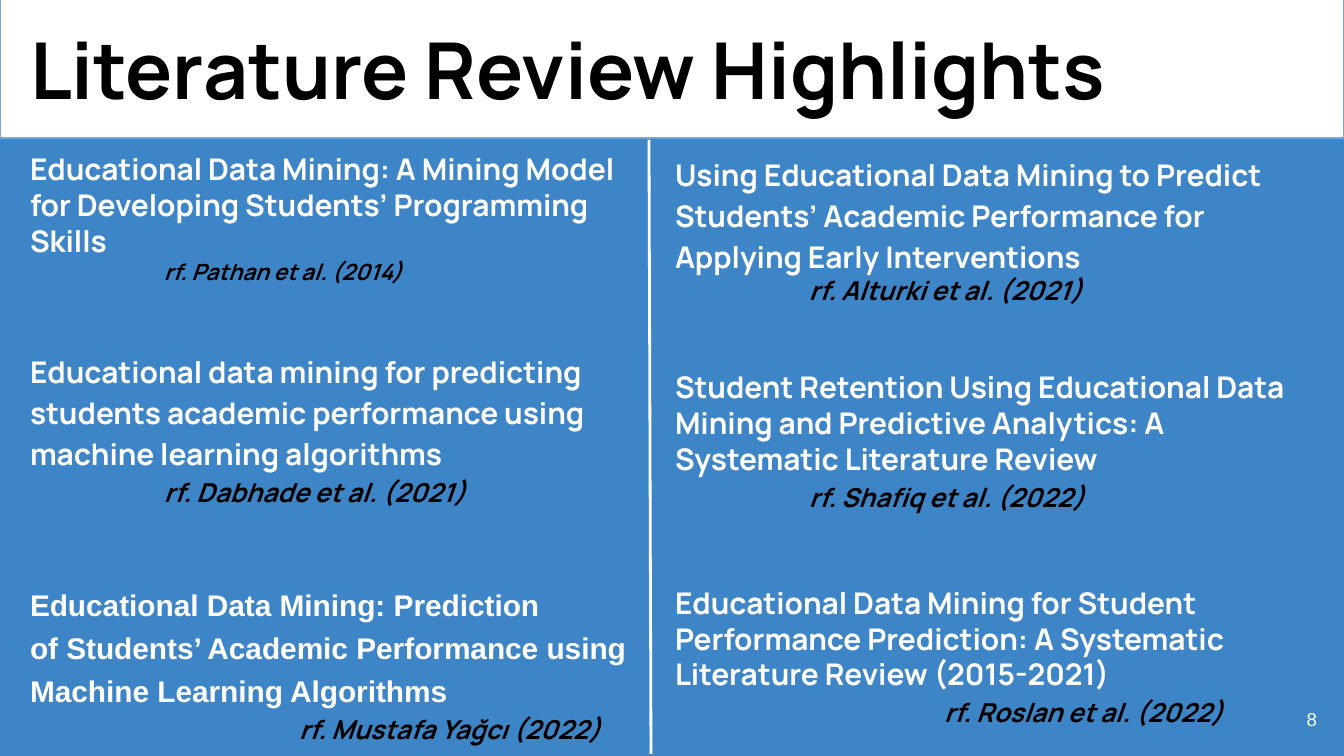
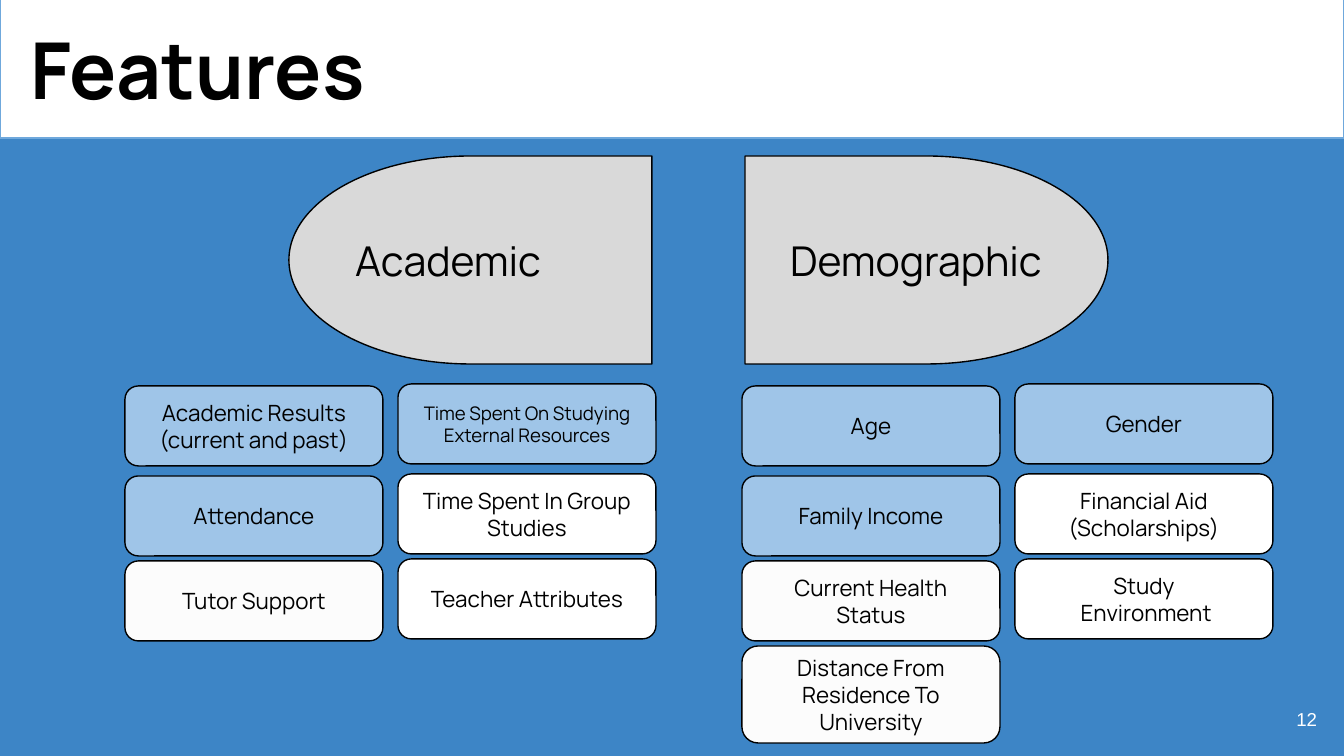
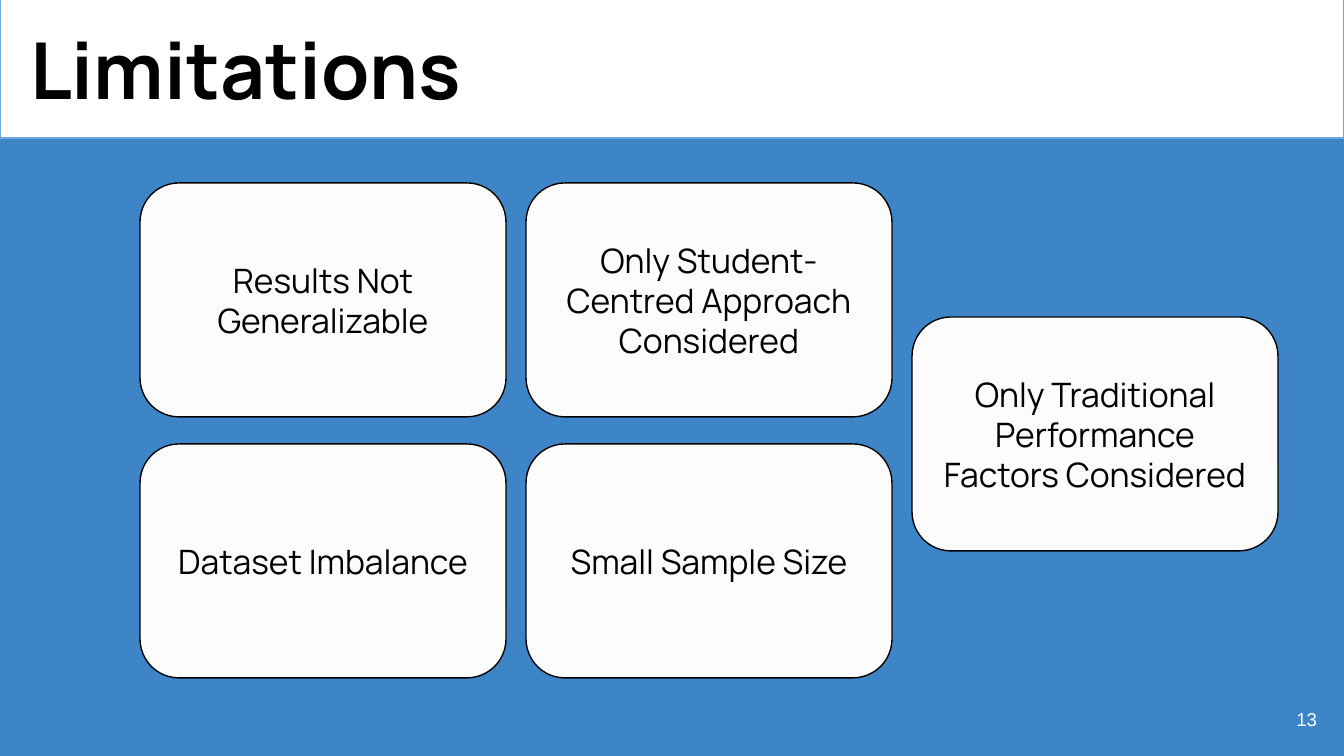
from collections import namedtuple

from lxml.etree import SubElement
from pptx import Presentation
from pptx.dml.color import RGBColor
from pptx.enum.shapes import MSO_CONNECTOR, MSO_SHAPE
from pptx.enum.text import MSO_ANCHOR, PP_ALIGN
from pptx.oxml.ns import qn
from pptx.util import Emu, Pt

EMU_PER_PX = 914400 / 134.4
PAGE_WIDTH, PAGE_HEIGHT = 1344, 756
INSET = 13
COLOURS = {
    "page": "3D85C6",
    "white": "FFFFFF",
    "black": "000000",
    "band_line": "6FA8DC",
    "chosen": "9FC5E8",
    "plain": "FCFCFC",
    "heading": "D9D9D9",
}
BODY_FONT = "Manrope"
NUMBER_FONT = "Arial"

Box = namedtuple("Box", "left top width height")
Paper = namedtuple(
    "Paper", "lines spacing reference size reference_spacing indent gap font",
    defaults=(134, 0, BODY_FONT))

LEFT_PAPERS = [
    Paper(["Educational Data Mining: A Mining Model for Developing Students’ Programming Skills"],
          1.0, "rf. Pathan et al. (2014)", 12, 1.0),
    Paper(["Educational data mining for predicting students academic performance "
           "using machine learning algorithms"],
          1.15, "rf. Dabhade et al. (2021)", 14, 1.15, gap=63),
    Paper(["Educational Data Mining: Prediction",
           "of Students’ Academic Performance using Machine Learning Algorithms"],
          1.2, "rf. Mustafa Yağcı (2022)", 14, 1.15, indent=269, gap=72, font="Arial"),
]
RIGHT_PAPERS = [
    Paper(["Using Educational Data Mining to Predict Students’ Academic Performance "
           "for Applying Early Interventions"],
          1.15, "rf. Alturki et al. (2021)", 14, 1.0),
    Paper(["Student Retention Using Educational Data Mining and Predictive Analytics: "
           "A Systematic Literature Review"],
          1.0, "rf. Shafiq et al. (2022)", 14, 1.15, gap=63),
    Paper(["Educational Data Mining for Student Performance Prediction: "
           "A Systematic Literature Review (2015-2021)"],
          1.0, "rf. Roslan et al. (2022)", 14, 1.15, indent=269, gap=72),
]

FEATURE_ROWS = [0, 90, 175, 260]
ACADEMIC_FEATURES = [
    [("Academic Results (current and past)", "chosen"),
     ("Attendance", "chosen"),
     ("Tutor Support", "plain")],
    [("Time Spent On Studying External Resources", "chosen"),
     ("Time Spent In Group Studies", "white"),
     ("Teacher Attributes", "white")],
]
DEMOGRAPHIC_FEATURES = [
    [("Age", "chosen"),
     ("Family Income", "chosen"),
     ("Current Health Status", "plain"),
     ("Distance From Residence To University", "plain")],
    [("Gender", "chosen"),
     ("Financial Aid (Scholarships)", "white"),
     ("Study\n Environment", "white")],
]
SMALL_FEATURE = "Time Spent On Studying External Resources"
TALL_FEATURE = "Distance From Residence To University"

LIMITATIONS = [
    ("Results Not Generalizable", 0, 0),
    ("Dataset Imbalance", 0, 261),
    ("Only Student-Centred Approach Considered", 1, 0),
    ("Small Sample Size", 1, 261),
    ("Only Traditional Performance Factors Considered", 2, 134),
]


def px(length):
    return Emu(round(length * EMU_PER_PX))


def place(box):
    return [px(length) for length in box]


def colour(name):
    return RGBColor.from_string(COLOURS[name])


def add_span(para, text, size, colour_name="black", font=BODY_FONT, bold=False, italic=False):
    span = para.add_run()
    span.text = text
    span.font.size = Pt(size)
    span.font.name = font
    span.font.bold = bold
    span.font.italic = italic
    span.font.color.rgb = colour(colour_name)


def prepare_frame(frame, anchor):
    frame.word_wrap = True
    frame.vertical_anchor = anchor
    frame.margin_left = frame.margin_right = px(INSET)
    frame.margin_top = frame.margin_bottom = px(INSET)
    return frame


def add_text_box(page, box, anchor=MSO_ANCHOR.MIDDLE):
    text_box = page.shapes.add_textbox(*place(box))
    return prepare_frame(text_box.text_frame, anchor)


def add_panel(page, kind, box, fill, line="black"):
    panel = page.shapes.add_shape(kind, *place(box))
    panel.shadow.inherit = False
    panel.fill.solid()
    panel.fill.fore_color.rgb = colour(fill)
    panel.line.color.rgb = colour(line)
    panel.line.width = Pt(0.75)
    return panel


def add_card(page, kind, box, text, fill, size, align=PP_ALIGN.CENTER):
    card = add_panel(page, kind, box, fill)
    frame = prepare_frame(card.text_frame, MSO_ANCHOR.MIDDLE)
    for index, line in enumerate(text.split("\n")):
        para = frame.add_paragraph() if index else frame.paragraphs[0]
        para.alignment = align
        add_span(para, line, size)
    return card


def add_page(deck, title, number):
    page = deck.slides.add_slide(deck.slide_layouts[6])
    page.background.fill.solid()
    page.background.fill.fore_color.rgb = colour("page")
    add_panel(page, MSO_SHAPE.RECTANGLE, Box(0, -1, PAGE_WIDTH, 139), "white", "band_line")
    heading = add_text_box(page, Box(17, 7, 1312, 122)).paragraphs[0]
    add_span(heading, title, 42, bold=True)
    footer = add_text_box(page, Box(1249, 690, 81, 58)).paragraphs[0]
    footer.alignment = PP_ALIGN.RIGHT
    add_span(footer, str(number), 10, "white", NUMBER_FONT)
    return page


def add_papers(page, box, papers):
    frame = add_text_box(page, box, MSO_ANCHOR.TOP)
    para = frame.paragraphs[0]
    for paper in papers:
        for index, line in enumerate(paper.lines):
            if para is None:
                para = frame.add_paragraph()
            para.line_spacing = paper.spacing
            para.space_before = px(0 if index else paper.gap)
            add_span(para, line, 16, "white", paper.font, bold=True)
            para = None
        reference = frame.add_paragraph()
        reference.line_spacing = paper.reference_spacing
        reference._p.get_or_add_pPr().set("marL", str(px(paper.indent)))
        add_span(reference, paper.reference, paper.size, bold=True, italic=True)


def add_divider(page, start, end):
    divider = page.shapes.add_connector(MSO_CONNECTOR.STRAIGHT, *place(start + end))
    divider.line.color.rgb = colour("white")
    divider.line.width = Pt(1.5)
    SubElement(divider._element.spPr, qn("a:effectLst"))


def add_features(page, left, top, columns):
    for column, features in enumerate(columns):
        for row, (text, fill) in zip(FEATURE_ROWS, features):
            height = 97 if text == TALL_FEATURE else 80
            size = 10 if text == SMALL_FEATURE else 12
            box = Box(left + 273 * column, top + row - 2 * column, 258, height)
            add_card(page, MSO_SHAPE.ROUNDED_RECTANGLE, box, text, fill, size)


def add_limitations(page, left, top):
    for text, column, offset in LIMITATIONS:
        box = Box(left + 386 * column, top + offset, 366, 234)
        add_card(page, MSO_SHAPE.ROUNDED_RECTANGLE, box, text, "plain", 18)


def build_literature(deck):
    page = add_page(deck, "Literature Review Highlights", 8)
    add_papers(page, Box(17, 138, 655, 618), LEFT_PAPERS)
    add_papers(page, Box(662, 138, 682, 618), RIGHT_PAPERS)
    add_divider(page, (649, 140), (651, 754))


def build_features(deck):
    page = add_page(deck, "Features", 12)
    add_card(page, MSO_SHAPE.FLOWCHART_DELAY, Box(745, 156, 363, 208),
             "Demographic", "heading", 22, PP_ALIGN.RIGHT)
    academic = add_card(page, MSO_SHAPE.FLOWCHART_DELAY, Box(289, 156, 363, 208),
                        "Academic", "heading", 22, PP_ALIGN.LEFT)
    academic._element.spPr.find(qn("a:xfrm")).set("flipH", "1")
    add_features(page, 125, 386, ACADEMIC_FEATURES)
    add_features(page, 742, 386, DEMOGRAPHIC_FEATURES)


def build_limitations(deck):
    page = add_page(deck, "Limitations", 13)
    add_limitations(page, 140, 183)


def main():
    deck = Presentation()
    deck.slide_width = px(PAGE_WIDTH)
    deck.slide_height = px(PAGE_HEIGHT)
    build_literature(deck)
    build_features(deck)
    build_limitations(deck)
    deck.save("out.pptx")


if __name__ == "__main__":
    main()
